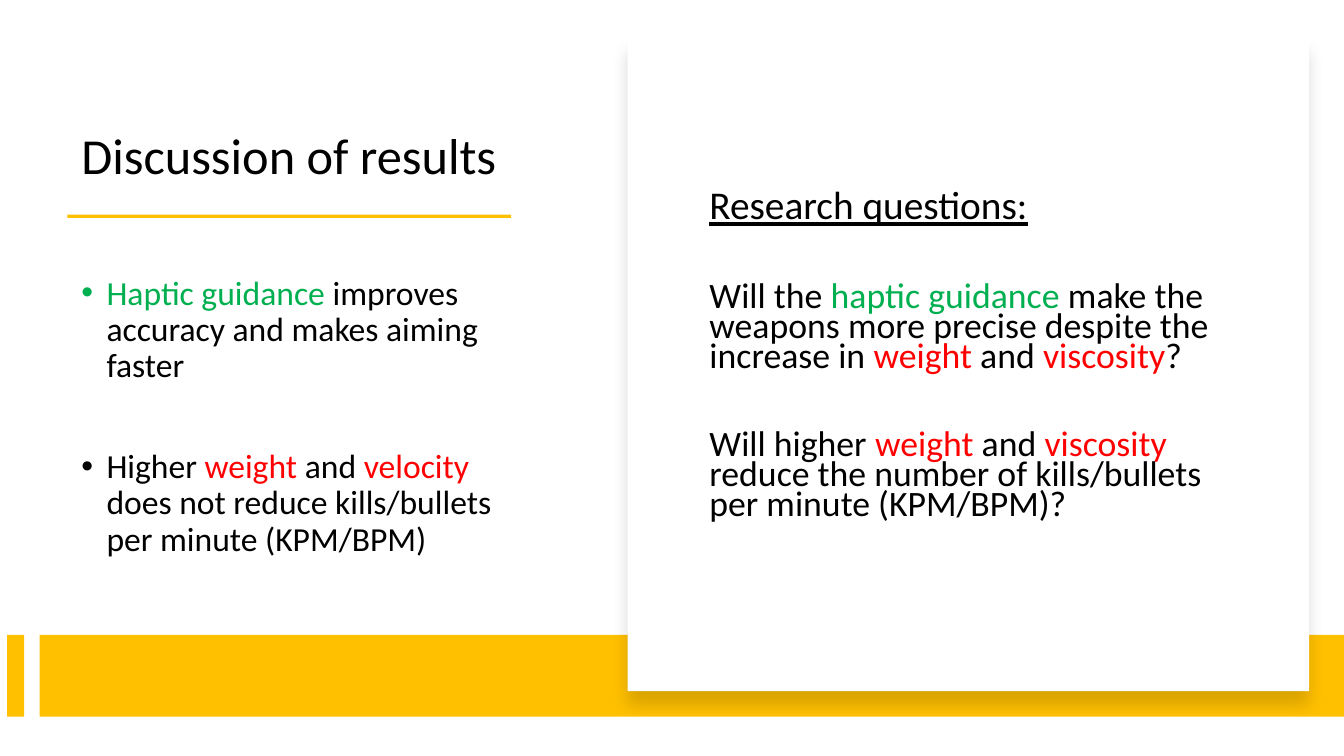
from dataclasses import dataclass

from lxml.etree import SubElement
from pptx import Presentation
from pptx.dml.color import RGBColor
from pptx.enum.shapes import MSO_SHAPE as Shape
from pptx.enum.text import MSO_ANCHOR as Anchor
from pptx.oxml.ns import qn
from pptx.util import Cm, Pt

BLACK = RGBColor(0x00, 0x00, 0x00)
WHITE = RGBColor(0xFF, 0xFF, 0xFF)
GOLD = RGBColor(0xFF, 0xC0, 0x00)
GREEN = RGBColor(0x00, 0xB0, 0x50)
RED = RGBColor(0xFF, 0x00, 0x00)
FONT = "Calibri"


@dataclass(frozen=True)
class Box:
    left: float
    top: float
    width: float
    height: float

    def lengths(self) -> tuple:
        return Cm(self.left), Cm(self.top), Cm(self.width), Cm(self.height)


@dataclass(frozen=True)
class Run:
    text: str
    color: RGBColor = BLACK


@dataclass(frozen=True)
class Para:
    runs: tuple[Run, ...]
    size: float
    before: float = 0
    underline: bool = False


UNDERLINE = Box(1.7, 5.41, 11.18, 0.08)
STRIPE = Box(0.18, 16, 0.43, 2.06)
BAND = Box(1, 16, 32.87, 2.06)
CARD = Box(15.82, 0.99, 17.17, 16.43)

TITLE = [Para((Run("Discussion of results"),), 36)]
FINDINGS = [
    Para((Run("Haptic guidance", GREEN),
          Run(" improves accuracy and makes aiming faster")), 24),
    Para((Run("Higher "), Run("weight ", RED), Run("and "), Run("velocity ", RED),
          Run("does not reduce kills/bullets per minute (KPM/BPM)")), 24, before=46),
]
QUESTIONS = [
    Para((Run("Research questions:"),), 28.1, underline=True),
    Para((Run("Will the "), Run("haptic guidance", GREEN),
          Run(" make the weapons more precise despite the increase in "),
          Run("weight", RED), Run(" and "), Run("viscosity", RED), Run("?")),
         25.5, before=41.5),
    Para((Run("Will higher "), Run("weight ", RED), Run("and "), Run("viscosity ", RED),
          Run("reduce the number of kills/bullets per minute (KPM/BPM)?")),
         25.5, before=41.5),
]


def add_rect(s, box: Box, color: RGBColor):
    sp = s.shapes.add_shape(Shape.RECTANGLE, *box.lengths())
    sp.shadow.inherit = False
    sp.fill.solid()
    sp.fill.fore_color.rgb = color
    sp.line.fill.background()
    return sp


def add_shadow(sp) -> None:
    effects = sp._element.spPr.find(qn("a:effectLst"))
    shadow = SubElement(effects, qn("a:outerShdw"), blurRad=str(Pt(11)),
                        dist=str(Pt(10)), dir="5400000", algn="t", rotWithShape="0")
    color = SubElement(shadow, qn("a:srgbClr"), val=str(BLACK))
    SubElement(color, qn("a:alpha"), val="15000")


def add_bullet(p) -> None:
    pPr = p._p.get_or_add_pPr()
    pPr.set("marL", str(Cm(0.635)))
    pPr.set("indent", str(Cm(-0.635)))
    SubElement(pPr, qn("a:buFont"), typeface="Arial")
    SubElement(pPr, qn("a:buChar"), char="•")


def add_text(s, box: Box, paras: list[Para], *, spacing: float = 0.9,
             anchor: Anchor = Anchor.MIDDLE, bullets: bool = False) -> None:
    tf = s.shapes.add_textbox(*box.lengths()).text_frame
    tf.word_wrap = True
    tf.vertical_anchor = anchor
    for i, para in enumerate(paras):
        p = tf.add_paragraph() if i else tf.paragraphs[0]
        p.line_spacing = spacing
        p.space_before = Pt(para.before)
        if bullets:
            add_bullet(p)
        for run in para.runs:
            r = p.add_run()
            r.text = run.text
            r.font.name = FONT
            r.font.size = Pt(para.size)
            r.font.color.rgb = run.color
            r.font.underline = para.underline


def main() -> None:
    prs = Presentation()
    prs.slide_width, prs.slide_height = Cm(33.87), Cm(19.05)
    s = prs.slides.add_slide(prs.slide_layouts[6])
    add_text(s, Box(1.8, 1.47, 11.89, 3.33), TITLE, anchor=Anchor.BOTTOM)
    add_text(s, Box(1.8, 5.64, 11.89, 9.75), FINDINGS, bullets=True)
    for bar in (UNDERLINE, STRIPE, BAND):
        add_rect(s, bar, GOLD)
    add_shadow(add_rect(s, CARD, WHITE))
    add_text(s, Box(17.63, 4.65, 14.05, 8.74), QUESTIONS, spacing=0.7)
    prs.save("out.pptx")


if __name__ == "__main__":
    main()
